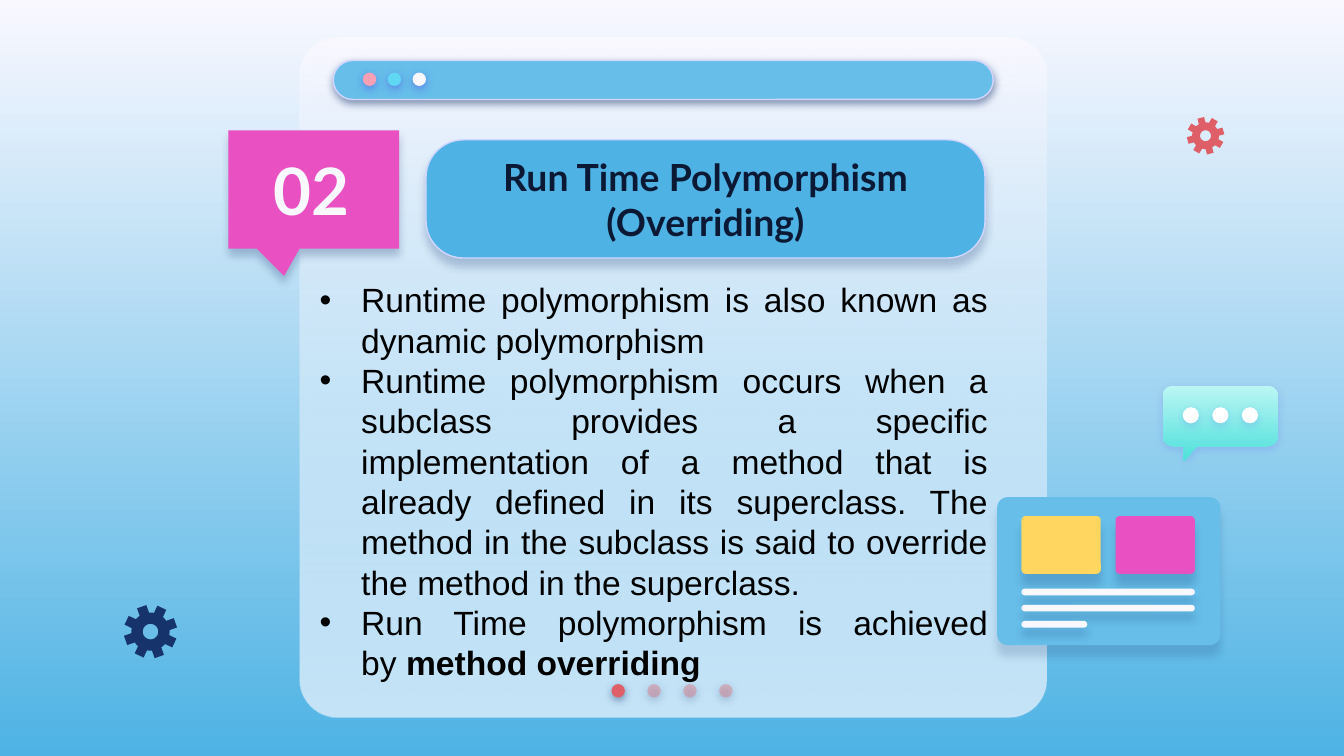
from dataclasses import dataclass
from math import cos, radians, sin
from typing import Optional

from pptx import Presentation
from pptx import util as u
from pptx.dml.color import RGBColor
from pptx.enum import shapes, text
from pptx.oxml import parse_xml
from pptx.oxml.ns import nsdecls, qn

NAVY, INDIGO, WHITE, PALE = "17336B", "5352EE", "FFFFFF", "F9F8FF"
SKY, BLUE, PINK, CORAL = "66BEE9", "4EB3E4", "E951C2", "DF5F69"
KIND = shapes.MSO_SHAPE
HARD_SPACE = chr(160)  # keeps "by" on the line of the words after it


@dataclass(frozen=True)
class Shadow:
    color: str
    alpha: int
    distance: float
    blur: float = 4.5


@dataclass(frozen=True)
class Block:
    left: float
    top: float
    width: float
    height: float
    fill: object  # a hex colour, or a pair of them for a gradient
    kind: int = KIND.ROUNDED_RECTANGLE
    adjust: tuple = ()
    line: Optional[str] = None
    shadow: Optional[Shadow] = None
    alpha: Optional[int] = None  # opacity of the last fill colour


def rgb(color: str) -> RGBColor:
    return RGBColor.from_string(color)


def paint(fill, color) -> None:
    if isinstance(color, str):
        fill.solid()
        fill.fore_color.rgb = rgb(color)
        return
    fill.gradient()
    fill.gradient_angle = 270
    for stop, position, shade in zip(fill.gradient_stops, (0, 1), color):
        stop.color.rgb = rgb(shade)
        stop.position = position


def style(shape, fill, line=None, shadow=None, alpha=None) -> None:
    paint(shape.fill, fill)
    if alpha is not None:
        last = list(shape.element.spPr.iter(qn("a:srgbClr")))[-1]
        last.append(parse_xml(f'<a:alpha {nsdecls("a")} val="{alpha * 1000}"/>'))
    if line:
        paint(shape.line.fill, line)
        shape.line.width = u.Pt(0.75)
    else:
        shape.line.fill.background()
    shape.shadow.inherit = False
    if shadow:
        shape.element.spPr.find(qn("a:effectLst")).append(parse_xml(
            f'<a:outerShdw {nsdecls("a")} blurRad="{u.Pt(shadow.blur)}" '
            f'dist="{u.Pt(shadow.distance)}" dir="5400000" algn="bl" rotWithShape="0">'
            f'<a:srgbClr val="{shadow.color}"><a:alpha val="{shadow.alpha * 1000}"/>'
            '</a:srgbClr></a:outerShdw>'))


def draw(slide, block: Block):
    box = (block.left, block.top, block.width, block.height)
    shape = slide.shapes.add_shape(block.kind, *map(u.Inches, box))
    for index, value in enumerate(block.adjust):
        shape.adjustments[index] = value
    style(shape, block.fill, block.line, block.shadow, block.alpha)
    return shape


def dots(slide, left, top, size, step, fills, shadow=None, alphas=None) -> None:
    for i, fill in enumerate(fills):
        draw(slide, Block(left + i * step, top, size, size, fill, KIND.OVAL,
                          shadow=shadow, alpha=alphas[i] if alphas else None))


def arc(x: float, y: float, radius: float, start: float, end: float, steps: int) -> list:
    angles = [radians(start + (end - start) * i / steps) for i in range(steps + 1)]
    return [(x + radius * cos(a), y + radius * sin(a)) for a in angles]


def outline(slide, contours: list, fill, shadow=None) -> None:
    builder = None
    for contour in contours:
        start, *rest = [(u.Inches(x), u.Inches(y)) for x, y in contour]
        if builder is None:
            builder = slide.shapes.build_freeform(*start)
        else:
            builder.move_to(*start)
        builder.add_line_segments(rest, close=True)
    style(builder.convert_to_shape(), fill, shadow=shadow)


def gear(slide, x: float, y: float, radius: float, turn: float, fill: str) -> None:
    rim = []
    for tooth in range(8):
        angle = turn + tooth * 45
        rim += arc(x, y, radius, angle - 10.5, angle + 10.5, 1)
        rim += arc(x, y, radius * 0.71, angle + 15, angle + 30, 3)
    hole = arc(x, y, radius * 0.29, 0, 345, 23)
    outline(slide, [rim, hole], fill)


def write(frame, paragraphs, *, size, font, color, align, anchor, bold=False,
          margins=(0.1, 0.1), bullet=False) -> None:
    """Each paragraph is a list of (words, bold) runs, or a plain string."""
    frame.word_wrap = True
    frame.vertical_anchor = anchor
    frame.margin_left = frame.margin_right = u.Inches(margins[0])
    frame.margin_top = frame.margin_bottom = u.Inches(margins[1])
    for i, runs in enumerate(paragraphs):
        paragraph = frame.add_paragraph() if i else frame.paragraphs[0]
        paragraph.alignment = align
        if bullet:
            props = paragraph._p.get_or_add_pPr()
            props.set("marL", str(u.Inches(0.31)))
            props.set("indent", str(-u.Inches(0.31)))
            for tag in (f'<a:buClr {nsdecls("a")}><a:srgbClr val="{color}"/></a:buClr>',
                        f'<a:buFont {nsdecls("a")} typeface="Arial"/>',
                        f'<a:buChar {nsdecls("a")} char="•"/>'):
                props.append(parse_xml(tag))
        for words, strong in [(runs, bold)] if isinstance(runs, str) else runs:
            run = paragraph.add_run()
            run.text = words
            run.font.size, run.font.name, run.font.bold = u.Pt(size), font, strong
            run.font.color.rgb = rgb(color)


def textbox(slide, left, top, width, height, paragraphs, **form) -> None:
    box = slide.shapes.add_textbox(*map(u.Inches, (left, top, width, height)))
    write(box.text_frame, paragraphs, **form)


def main() -> None:
    deck = Presentation()
    deck.slide_width = u.Inches(10)
    deck.slide_height = deck.slide_width * 9 // 16
    slide = deck.slides.add_slide(deck.slide_layouts[6])
    paint(slide.background.fill, (PALE, BLUE))

    # Browser window: panel, title bar, page dots
    panel = (2.23, 0.28, 5.56, 5.06)
    draw(slide, Block(*panel, PALE, adjust=(0.056,)))
    draw(slide, Block(*panel, (PALE, SKY), adjust=(0.056,), alpha=35))
    bar_shadow = Shadow(NAVY, 50, 1.5)
    dots(slide, 4.55, 5.09, 0.1, 0.267, [CORAL] + ["E27B83"] * 3, bar_shadow,
         [None, 44, 44, 44])
    draw(slide, Block(2.48, 0.45, 4.91, 0.29, SKY, adjust=(0.5,), line="D2D6FF",
                      shadow=bar_shadow))
    dots(slide, 2.7, 0.54, 0.1, 0.185, ["FDA0B4", "60D8F4", PALE], Shadow(INDIGO, 50, 1.5))

    # Number badge and heading
    draw(slide, Block(1.7, 0.97, 1.27, 0.88, PINK, KIND.ROUNDED_RECTANGULAR_CALLOUT,
                      (-0.174, 0.731, 0), shadow=Shadow(NAVY, 25, 3.8)))
    heading = draw(slide, Block(3.17, 1.04, 4.16, 0.88, BLUE, adjust=(0.317,),
                                line="D2D6FF", shadow=Shadow(NAVY, 24, 3.8)))
    lato = dict(font="Lato", bold=True, align=text.PP_ALIGN.CENTER)
    write(heading.text_frame, ["Run Time Polymorphism (Overriding)"], size=20,
          color="0C1935", anchor=text.MSO_ANCHOR.MIDDLE, **lato)

    # Page card
    draw(slide, Block(7.42, 3.7, 1.66, 1.1, SKY, adjust=(0.07,), shadow=Shadow(NAVY, 17, 6)))
    for left, fill in ((7.6, "FFD65F"), (8.3, PINK)):
        draw(slide, Block(left, 3.84, 0.59, 0.43, fill, adjust=(0.07,),
                          shadow=Shadow(NAVY, 20, 6)))
    for row, width in enumerate((1.29, 1.29, 0.49)):
        draw(slide, Block(7.6, 4.38 + row * 0.12, width, 0.05, PALE, adjust=(0.5,),
                          shadow=Shadow(NAVY, 21, 4.5)))

    # Speech bubble
    left, top, right, bottom, corner = 8.65, 2.87, 9.51, 3.32, 0.08
    bubble = (arc(right - corner, top + corner, corner, -90, 0, 6)
              + arc(right - corner, bottom - corner, corner, 0, 90, 6)
              + [(8.91, bottom), (8.81, 3.43), (8.81, bottom)]
              + arc(left + corner, bottom - corner, corner, 90, 180, 6)
              + arc(left + corner, top + corner, corner, 180, 270, 6))
    bubble_shadow = Shadow(INDIGO, 18, 1.5)
    outline(slide, [bubble], ("BBF6F4", "4EE0DB"), bubble_shadow)
    dots(slide, 8.8, 3.03, 0.12, 0.22, [WHITE] * 3, bubble_shadow)

    # Gears
    gear(slide, 1.12, 4.7, 0.2, -109.5, NAVY)
    gear(slide, 8.97, 1.01, 0.14, -105, CORAL)

    # Number and body text
    textbox(slide, 1.79, 1.02, 1.06, 0.78, ["02"], size=35, color=PALE,
            anchor=text.MSO_ANCHOR.BOTTOM, **lato)
    textbox(slide, 2.28, 2.03, 5.17, 3.43, [
        "Runtime polymorphism is also known as dynamic polymorphism",
        "Runtime polymorphism occurs when a subclass provides a specific implementation "
        "of a method that is already defined in its superclass. The method in the "
        "subclass is said to override the method in the superclass.",
        [("Run Time polymorphism is achieved by" + HARD_SPACE, False),
         ("method overriding", True)],
    ], size=18, font="Arial", color="000000", align=text.PP_ALIGN.JUSTIFY,
        anchor=text.MSO_ANCHOR.TOP, margins=(0.1, 0.05), bullet=True)

    deck.save("out.pptx")


if __name__ == "__main__":
    main()
